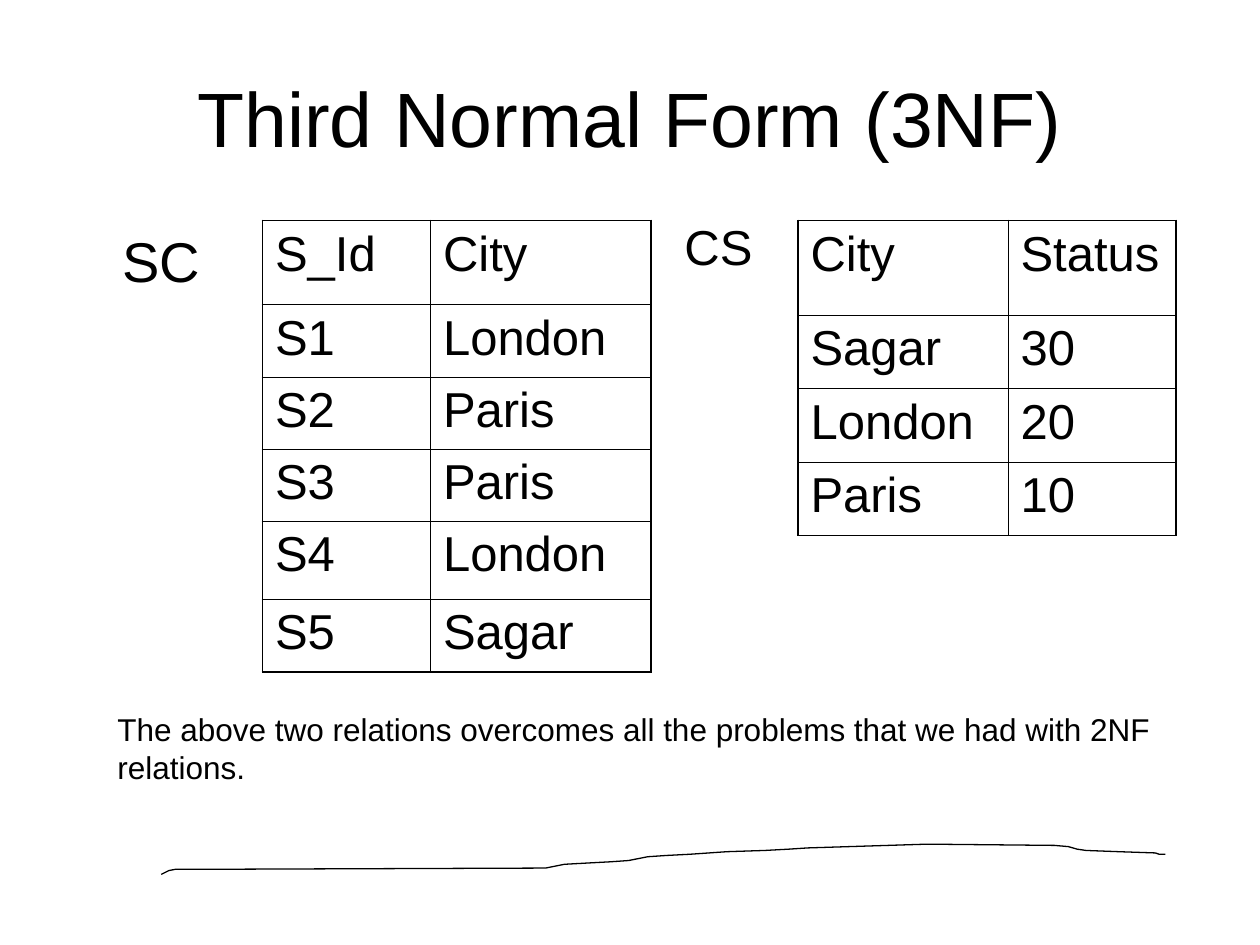
from dataclasses import dataclass

from lxml import etree
from pptx import Presentation
from pptx.dml.color import RGBColor
from pptx.enum.text import MSO_ANCHOR, PP_ALIGN
from pptx.oxml.ns import qn
from pptx.util import Inches, Pt

CENTER, LEFT = PP_ALIGN.CENTER, PP_ALIGN.LEFT
MIDDLE, TOP = MSO_ANCHOR.MIDDLE, MSO_ANCHOR.TOP
UNIT = Inches(1) // 12  # the slide is a grid of 120 columns by 90 rows


@dataclass(frozen=True)
class Theme:
    font: str = "Arial"
    ink: str = "000000"
    title: int = 44
    relation_large: int = 32
    relation: int = 28
    note: int = 18
    outer_border: float = 1.08
    inner_border: float = 0.45
    stroke: float = 0.75


THEME = Theme()

SC_ROWS = [("S_Id", "City"), ("S1", "London"), ("S2", "Paris"),
           ("S3", "Paris"), ("S4", "London"), ("S5", "Sagar")]
CS_ROWS = [("City", "Status"), ("Sagar", "30"), ("London", "20"), ("Paris", "10")]

# Hundredths of an inch
STROKE_POINTS = [
    (128, 694), (134, 691), (139, 690), (149, 690), (433, 689),
    (448, 686), (466, 685), (485, 684), (499, 683), (514, 680),
    (529, 679), (548, 678), (577, 676), (607, 675), (626, 674),
    (641, 673), (736, 670), (837, 671), (848, 672), (855, 674),
    (862, 675), (888, 676), (917, 677), (920, 678), (925, 678),
]


def grid(*cells):
    """Turn grid columns or rows into slide lengths."""
    return [round(cell * UNIT) for cell in cells]


def write(frame, text, size, align=LEFT):
    frame.text = text
    paragraph = frame.paragraphs[0]
    paragraph.alignment = align
    font = paragraph.runs[0].font
    font.name, font.size = THEME.font, Pt(size)
    font.color.rgb = RGBColor.from_string(THEME.ink)


def add_label(slide, box, text, size, align=LEFT, anchor=TOP, indent=0.1):
    frame = slide.shapes.add_textbox(*grid(*box)).text_frame
    frame.word_wrap = True
    frame.vertical_anchor = anchor
    frame.margin_left = Inches(indent)
    write(frame, text, size, align)


def add_border(cell, side, width):
    border = etree.SubElement(cell._tc.get_or_add_tcPr(), qn(f"a:ln{side}"),
                              w=str(Pt(width)))
    fill = etree.SubElement(border, qn("a:solidFill"))
    etree.SubElement(fill, qn("a:srgbClr"), val=THEME.ink)


def add_relation(slide, left, top, column_widths, row_heights, rows):
    """Draw a relation with a heavier frame than its inner rules."""
    box = grid(left, top, sum(column_widths), sum(row_heights))
    table = slide.shapes.add_table(len(rows), len(column_widths), *box).table
    table.first_row = table.horz_banding = False
    for column, width in zip(table.columns, grid(*column_widths)):
        column.width = width
    for row, height in zip(table.rows, grid(*row_heights)):
        row.height = height
    last_row, last_column = len(rows) - 1, len(column_widths) - 1
    for r, values in enumerate(rows):
        for c, value in enumerate(values):
            cell = table.cell(r, c)
            on_frame = {"L": c == 0, "R": c == last_column,
                        "T": r == 0, "B": r == last_row}
            for side, outer in on_frame.items():
                add_border(cell, side,
                           THEME.outer_border if outer else THEME.inner_border)
            cell.fill.background()
            write(cell.text_frame, value, THEME.relation)


def add_hand_stroke(slide, points):
    start, *rest = points
    builder = slide.shapes.build_freeform(*start, scale=Inches(0.01))
    builder.add_line_segments(rest, close=False)
    stroke = builder.convert_to_shape()
    stroke.shadow.inherit = False
    stroke.fill.background()
    stroke.line.color.rgb = RGBColor.from_string(THEME.ink)
    stroke.line.width = Pt(THEME.stroke)


def main():
    deck = Presentation()
    deck.slide_width, deck.slide_height = grid(120, 90)
    slide = deck.slides.add_slide(deck.slide_layouts[6])

    add_hand_stroke(slide, STROKE_POINTS)
    add_label(slide, (6, 3.6, 108, 15), "Third Normal Form (3NF)",
              THEME.title, CENTER, MIDDLE)
    add_label(slide, (6, 21, 108, 65), "SC", THEME.relation_large, indent=0.47)
    add_relation(slide, 25, 21, (16, 21), (8, 6.93, 6.86, 6.86, 7.42, 6.95), SC_ROWS)
    add_label(slide, (64, 20, 14, 6.8), "CS", THEME.relation)
    add_relation(slide, 76, 21, (20, 16), (9, 7, 7, 7), CS_ROWS)
    add_label(slide, (10, 67, 102, 14),
              "The above two relations overcomes all the problems "
              "that we had with 2NF relations.", THEME.note)

    deck.save("out.pptx")


if __name__ == "__main__":
    main()
